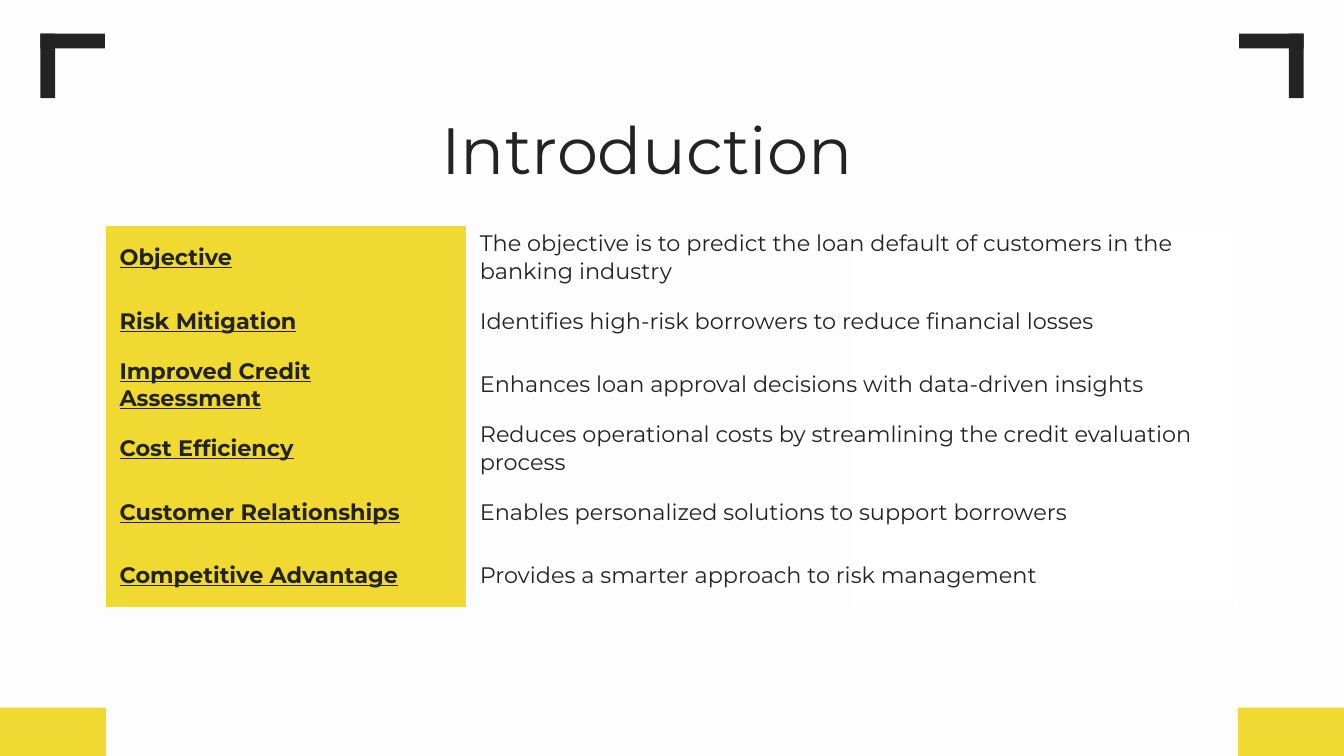
import copy

import pptx
import pptx.dml.color
import pptx.enum.shapes
import pptx.enum.text
import pptx.oxml.ns
import pptx.util
from pptx.util import Inches

COLORS = {
    "background": "FDFDFD",
    "dark": "232323",
    "yellow": "F0D931",
    "white": "FFFFFF",
}
FONT = "Montserrat"
SLIDE_WIDTH = 10
SLIDE_HEIGHT = SLIDE_WIDTH * 9 / 16
NO_GRID_STYLE = "{2D5ABB26-0587-4C30-8999-92F81FD0307C}"

BENEFITS = [
    ("Objective", "The objective is to predict the loan default of customers in the banking industry"),
    ("Risk Mitigation", "Identifies high-risk borrowers to reduce financial losses"),
    ("Improved Credit Assessment", "Enhances loan approval decisions with data-driven insights"),
    ("Cost Efficiency", "Reduces operational costs by streamlining the credit evaluation process"),
    ("Customer Relationships", "Enables personalized solutions to support borrowers"),
    ("Competitive Advantage", "Provides a smarter approach to risk management"),
]


def color(name):
    return pptx.dml.color.RGBColor.from_string(COLORS[name])


class SlideBuilder:
    """Holds the current slide and draws styled elements on it."""

    def __init__(self, slide):
        self.slide = slide

    def background(self):
        fill = self.slide.background.fill
        fill.solid()
        fill.fore_color.rgb = color("background")

    def style_font(self, paragraph, size):
        font = paragraph.font
        font.name = FONT
        font.size = pptx.util.Pt(size)
        font.color.rgb = color("dark")
        return font

    def title(self, text, left, top, width, height):
        title = self.slide.shapes.title
        title.left, title.top = Inches(left), Inches(top)
        title.width, title.height = Inches(width), Inches(height)
        frame = title.text_frame
        frame.text = text
        frame.word_wrap = True
        frame.auto_size = pptx.enum.text.MSO_AUTO_SIZE.NONE
        frame.vertical_anchor = pptx.enum.text.MSO_ANCHOR.TOP
        frame.margin_left = frame.margin_right = Inches(0.1)
        frame.margin_top = frame.margin_bottom = Inches(0.1)
        paragraph = frame.paragraphs[0]
        paragraph.alignment = pptx.enum.text.PP_ALIGN.CENTER
        self.style_font(paragraph, 35)

    def rectangle(self, left, top, width, height, fill):
        shape = self.slide.shapes.add_shape(
            pptx.enum.shapes.MSO_SHAPE.RECTANGLE,
            Inches(left), Inches(top), Inches(width), Inches(height))
        shape.shadow.inherit = False
        shape.fill.solid()
        shape.fill.fore_color.rgb = color(fill)
        shape.line.fill.background()

    def cell(self, cell, text):
        cell.text = text
        cell.vertical_anchor = pptx.enum.text.MSO_ANCHOR.MIDDLE
        cell.margin_left = cell.margin_right = Inches(0.1)
        cell.margin_top = cell.margin_bottom = 0
        return self.style_font(cell.text_frame.paragraphs[0], 12)

    def fade(self, cell):
        """Fade a cell from the background colour to white at its middle."""
        fill = cell.fill
        fill.gradient()
        fill.gradient_angle = 0
        stop_list = cell._tc.find(".//" + pptx.oxml.ns.qn("a:gsLst"))
        stop_list.append(copy.deepcopy(stop_list[-1]))
        stops = zip(fill.gradient_stops, (0, 0.5, 1), ("background", "white", "white"))
        for stop, position, name in stops:
            stop.position = position
            stop.color.rgb = color(name)

    def table(self, rows, left, top, column_widths, height):
        frame = self.slide.shapes.add_table(
            len(rows), len(column_widths), Inches(left), Inches(top),
            Inches(sum(column_widths)), Inches(height))
        table = frame.table
        table.first_row = table.horz_banding = False
        table._tbl.tblPr.find(pptx.oxml.ns.qn("a:tableStyleId")).text = NO_GRID_STYLE
        for column, width in zip(table.columns, column_widths):
            column.width = Inches(width)
        for row, (heading, description) in zip(table.rows, rows):
            heading_cell, description_cell = row.cells
            font = self.cell(heading_cell, heading)
            font.bold = font.underline = True
            heading_cell.fill.solid()
            heading_cell.fill.fore_color.rgb = color("yellow")
            self.cell(description_cell, description)
            self.fade(description_cell)


def main():
    presentation = pptx.Presentation()
    presentation.slide_width = Inches(SLIDE_WIDTH)
    presentation.slide_height = Inches(SLIDE_HEIGHT)
    builder = SlideBuilder(presentation.slides.add_slide(presentation.slide_layouts[5]))
    builder.background()

    arm, thickness, margin, corner_top = 0.48, 0.11, 0.3, 0.25
    block_width, block_height = 0.79, 0.36
    for on_right in (False, True):
        def place(offset, width):
            """Left edge of a part, measured from its own side of the slide."""
            return SLIDE_WIDTH - offset - width if on_right else offset

        builder.rectangle(place(margin, thickness), corner_top, thickness, arm, "dark")
        builder.rectangle(place(margin, arm), corner_top, arm, thickness, "dark")
        builder.rectangle(place(0, block_width), SLIDE_HEIGHT - block_height,
                          block_width, block_height, "yellow")

    builder.title("Introduction", 0.6, 0.71, 8.43, 0.63)
    builder.table(BENEFITS, 0.79, 1.68, (2.68, 5.74), 2.84)
    presentation.save("out.pptx")


if __name__ == "__main__":
    main()
